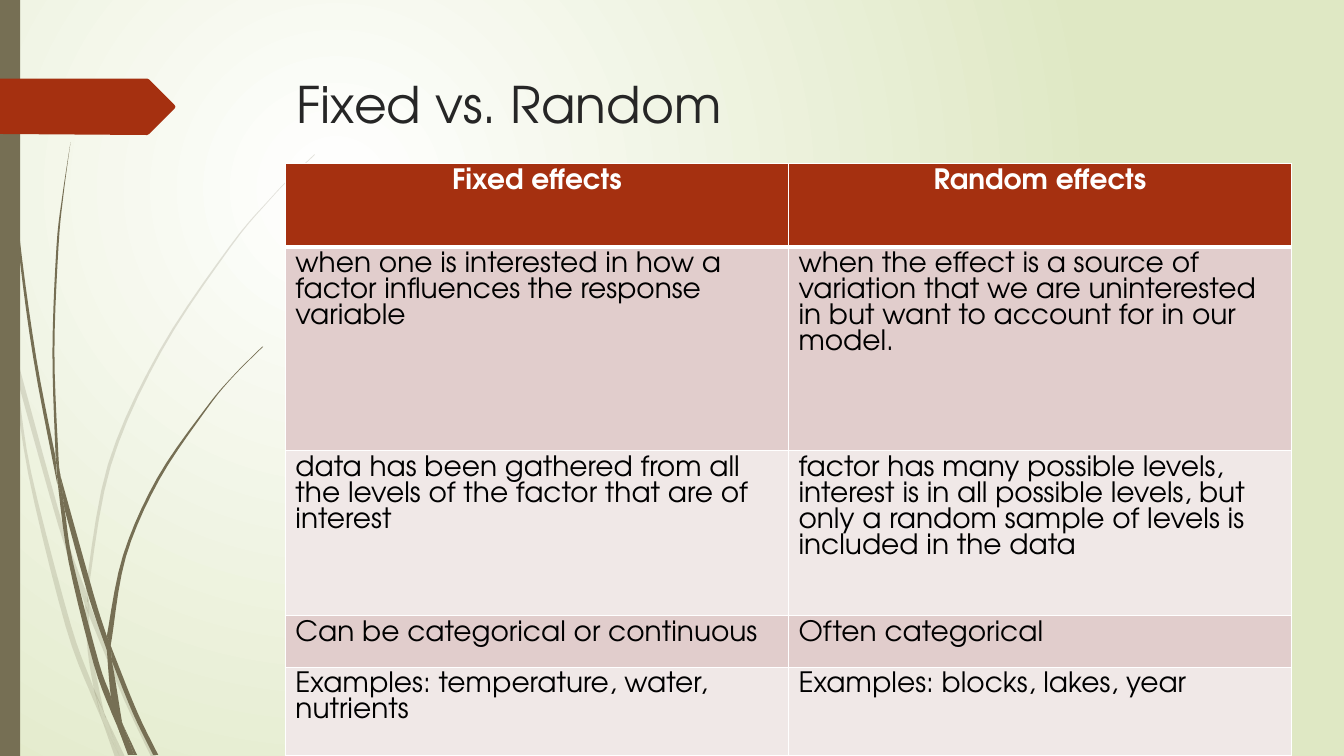
from lxml import etree
from pptx import Presentation
from pptx.dml.color import RGBColor
from pptx.enum import shapes, text
from pptx.oxml import ns, parse_xml
from pptx.util import Inches, Pt

FONT = "TeX Gyre Adventor"
HEX = {"white": "FFFFFF", "black": "000000", "ink": "262626", "sage": "DFE8C4",
       "stem": "766F54", "rust": "A53010", "rose": "E1CDCC", "blush": "F0E8E7"}

# Each blade part is a pair of edges: one down, the other back.
PALE = [
    ([(.11, 3.5), (.09, 3.22), (0, 2.82)], [(0, 2.99), (.1, 3.44), (.11, 3.5)]),
    ([(.14, 3.45), (.62, 5.2), (.85, 5.86)], [(.84, 5.99), (.58, 5.22), (.17, 3.76)]),
    ([(.88, 5.96), (.92, 6.07), (1.27, 6.92), (1.55, 7.51)],
     [(1.5, 7.51), (1.23, 6.94), (.88, 6.1)]),
    ([(1.05, 7.11), (1.24, 7.51)], [(1.19, 7.51), (1.05, 7.11)]),
    ([(.11, 3.5), (.17, 3.76), (.31, 4.69), (.7, 6.19), (.93, 6.83), (1.01, 7.14)],
     [(.92, 6.93), (.65, 6.21), (.28, 4.7), (.11, 3.5)]),
    ([(.84, 5.99), (.88, 6.1), (.91, 6.46), (1.03, 7.06), (1.05, 7.11)],
     [(.96, 6.92), (.93, 6.83), (.87, 6.46), (.84, 5.99)]),
    ([(.88, 5.96), (.88, 5.84), (1.1, 4.62), (1.6, 3.49), (2.29, 2.45),
      (2.68, 1.98), (2.9, 1.75), (3.12, 1.54)],
     [(3.12, 1.53), (2.89, 1.75), (2.68, 1.97), (2.28, 2.44), (1.58, 3.48),
      (1.07, 4.61), (.85, 5.84)]),
    ([(1.01, 7.14), (1.19, 7.51)], [(1.14, 7.51), (1.01, 7.14)]),
    ([(.85, 5.86), (.88, 5.96), (.88, 6.1)], [(.84, 5.99), (.85, 5.86)]),
    ([(.93, 6.83), (1.05, 7.11), (1.19, 7.51)], [(1.01, 7.14), (.93, 6.83)]),
]
DARK = [
    ([(.03, 0), (.07, 1.1), (.17, 2.33), (.33, 3.55), (.57, 4.81)],
     [(.55, 4.53), (.36, 3.55), (.19, 2.32), (.08, 1.09), (.04, 0)]),
    ([(.6, 4.72), (.93, 5.9), (1.06, 6.31)],
     [(1.06, 6.45), (.88, 5.92), (.64, 5.05)]),
    ([(1.1, 6.41), (1.36, 7.06), (1.57, 7.49)],
     [(1.52, 7.49), (1.32, 7.08), (1.11, 6.56)]),
    ([(.57, 4.77), (.64, 5.05), (.72, 5.56), (.98, 6.57), (1.1, 6.91), (1.17, 7.22)],
     [(1.11, 7.08), (.93, 6.59), (.68, 5.57), (.57, 4.77)]),
    ([(.7, 1.41), (.63, 1.93), (.58, 2.45), (.54, 3.49), (.58, 4.53), (.6, 4.72)],
     [(.55, 4.49), (.52, 3.49), (.56, 2.45), (.62, 1.93), (.7, 1.41)]),
    ([(1.22, 7.19), (1.36, 7.49)], [(1.33, 7.49), (1.22, 7.19)]),
    ([(.55, 4.49), (.6, 4.72), (.64, 5.05)], [(.57, 4.77), (.55, 4.49)]),
    ([(1.1, 6.41), (1.11, 6.33), (1.25, 5.52), (1.58, 4.76), (2.05, 4.06),
      (2.31, 3.74), (2.61, 3.44)],
     [(2.6, 3.44), (2.31, 3.73), (2.04, 4.05), (1.56, 4.74), (1.22, 5.51), (1.06, 6.31)]),
    ([(1.17, 7.22), (1.31, 7.49)], [(1.27, 7.49), (1.17, 7.22)]),
    ([(1.06, 6.45), (1.11, 6.56), (1.21, 7.16), (1.22, 7.19)],
     [(1.16, 7.06), (1.1, 6.91), (1.06, 6.45)]),
    ([(1.06, 6.31), (1.1, 6.41), (1.11, 6.56)], [(1.06, 6.45), (1.06, 6.31)]),
    ([(1.1, 6.91), (1.22, 7.19), (1.33, 7.49)],
     [(1.3, 7.49), (1.17, 7.22), (1.1, 6.91)]),
]
ARROW = [(0, .78), (1.46, .78), (1.48, .79), (1.73, 1.04), (1.74, 1.06),
         (1.73, 1.08), (1.48, 1.33), (1.46, 1.34), (0, 1.33)]
ROWS = [
    ("Fixed effects", "Random effects"),
    ("when one is interested in how a factor influences the response variable",
     "when the effect is a source of variation that we are uninterested in but "
     "want to account for in our model."),
    ("data has been gathered from all the levels of the factor that are of interest",
     "factor has many possible levels, interest is in all possible levels, but "
     "only a random sample of levels is included in the data"),
    ("Can be categorical or continuous", "Often categorical"),
    ("Examples: temperature, water, nutrients", "Examples: blocks, lakes, year"),
]
HEIGHTS = [.83, 2.02, 1.64, .51, .88]


def color(name):
    return RGBColor.from_string(HEX[name])


def paint(shape, name, alpha=None):
    shape.shadow.inherit = False
    shape.fill.solid()
    shape.fill.fore_color.rgb = color(name)
    shape.line.fill.background()
    if alpha:
        tint = shape.element.spPr.find(ns.qn("a:solidFill"))[0]
        etree.SubElement(tint, ns.qn("a:alpha"), val=str(alpha * 1000))


def smooth(edge, steps=5):
    """Return points on a Catmull-Rom curve through the edge."""
    ends = [edge[0], *edge, edge[-1]]
    curve = [edge[0]]
    for a, b, c, d in zip(ends, ends[1:], ends[2:], ends[3:]):
        for i in range(1, steps + 1):
            t = i / steps
            curve.append(tuple(
                (2 * q + (r - p) * t + (2 * p - 5 * q + 4 * r - s) * t ** 2
                 + (3 * q - p - 3 * r + s) * t ** 3) / 2
                for p, q, r, s in zip(a, b, c, d)))
    return curve


def outline(tree, points, name, alpha=None):
    spots = [(Inches(x), Inches(y)) for x, y in points]
    form = tree.build_freeform(*spots[0])
    form.add_line_segments(spots[1:], close=True)
    paint(form.convert_to_shape(), name, alpha)


def add_grass(slide, blades, alpha=None):
    group = slide.shapes.add_group_shape()
    for down, back in blades:
        outline(group.shapes, smooth(down) + smooth(back), "stem", alpha)


def add_run(para, words, size, name, bold=False):
    run = para.add_run()
    run.text = words
    run.font.name = FONT
    run.font.size = Pt(size)
    run.font.bold = bold
    run.font.color.rgb = color(name)


def set_back(slide):
    fill = slide.background.fill
    fill.gradient()
    for stop, name, spot in zip(fill.gradient_stops, ("white", "sage"), (0, 1)):
        stop.color.rgb = color(name)
        stop.position = spot
    lin = next(slide.element.iter(ns.qn("a:lin")))
    lin.getparent().replace(lin, parse_xml(
        f'<a:path {ns.nsdecls("a")} path="circle"><a:fillToRect l="50000" '
        't="50000" r="100000" b="100000"/></a:path>'))


def set_title(slide, words):
    title = slide.shapes.title
    title.left, title.top = Inches(2.84), Inches(.68)
    title.width, title.height = Inches(9.75), Inches(1.4)
    title.text_frame.vertical_anchor = text.MSO_ANCHOR.TOP
    para = title.text_frame.paragraphs[0]
    para.alignment = text.PP_ALIGN.LEFT
    add_run(para, words, 36, "ink")
    title.element.getparent().append(title.element)


def set_edges(cell, head, under):
    """Draw white borders, thick between the header and the body."""
    props = cell._tc.get_or_add_tcPr()
    thick = {"B": head, "T": under}
    for side in "LRTB":
        wide = Pt(3 if thick.get(side) else 1)
        props.append(parse_xml(
            f'<a:ln{side} {ns.nsdecls("a")} w="{wide}"><a:solidFill>'
            f'<a:srgbClr val="{HEX["white"]}"/></a:solidFill></a:ln{side}>'))


def add_grid(slide):
    grid = slide.shapes.add_table(len(ROWS), 2, Inches(2.83), Inches(1.62),
                                  Inches(9.98), Inches(sum(HEIGHTS))).table
    for col in grid.columns:
        col.width = Inches(4.99)
    for i, (row, high) in enumerate(zip(ROWS, HEIGHTS)):
        grid.rows[i].height = Inches(high)
        head = i == 0
        for j, words in enumerate(row):
            cell = grid.cell(i, j)
            set_edges(cell, head, i == 1)
            cell.fill.solid()
            cell.fill.fore_color.rgb = color(
                "rust" if head else "rose" if i % 2 else "blush")
            para = cell.text_frame.paragraphs[0]
            para.line_spacing = Pt(18.6)
            para.alignment = text.PP_ALIGN.CENTER if head else text.PP_ALIGN.LEFT
            add_run(para, words, 20, "white" if head else "black", head)


def main():
    deck = Presentation()
    deck.slide_width, deck.slide_height = Inches(13.33), Inches(7.5)
    slide = deck.slides.add_slide(deck.slide_layouts[5])
    set_back(slide)
    add_grass(slide, PALE, 20)
    add_grass(slide, DARK)
    bar = slide.shapes.add_shape(shapes.MSO_SHAPE.RECTANGLE, 0, 0,
                                 Inches(.2), Inches(7.5))
    paint(bar, "stem")
    outline(slide.shapes, ARROW, "rust")
    set_title(slide, "Fixed vs. Random")
    add_grid(slide)
    deck.save("out.pptx")


if __name__ == "__main__":
    main()
